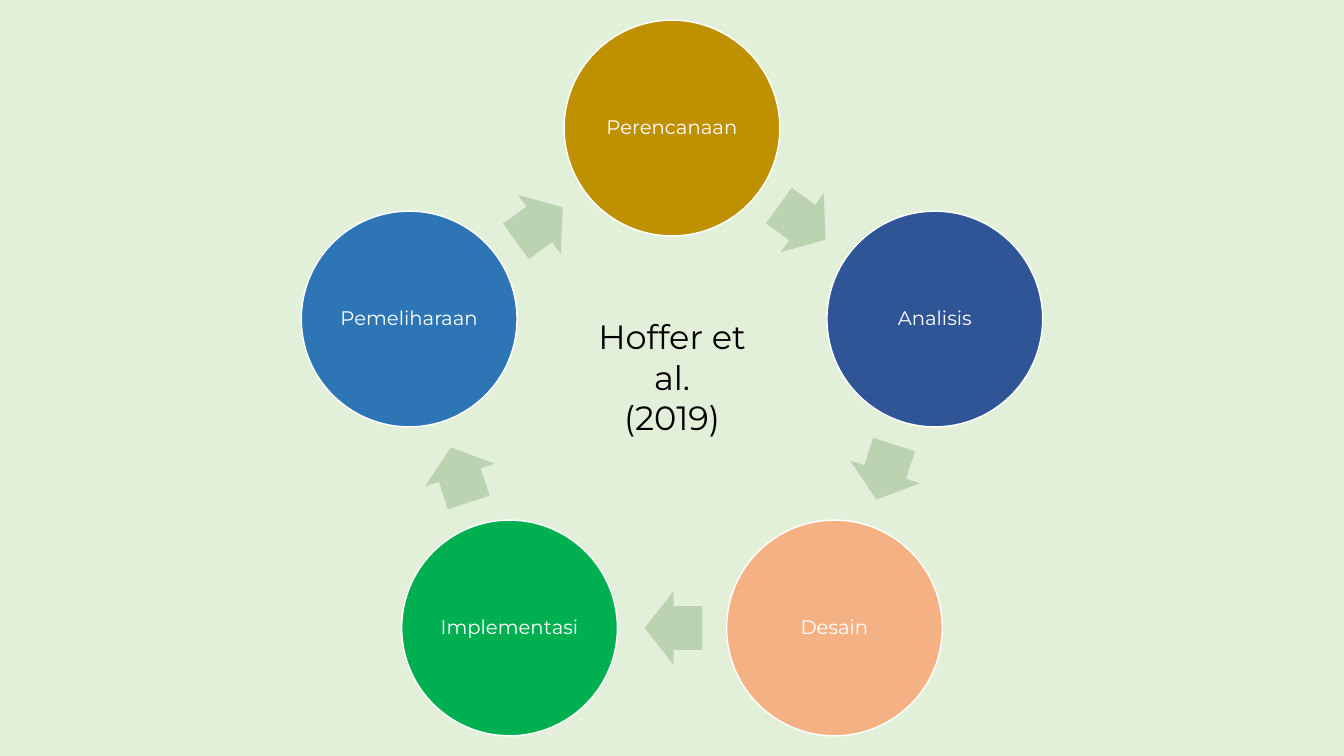
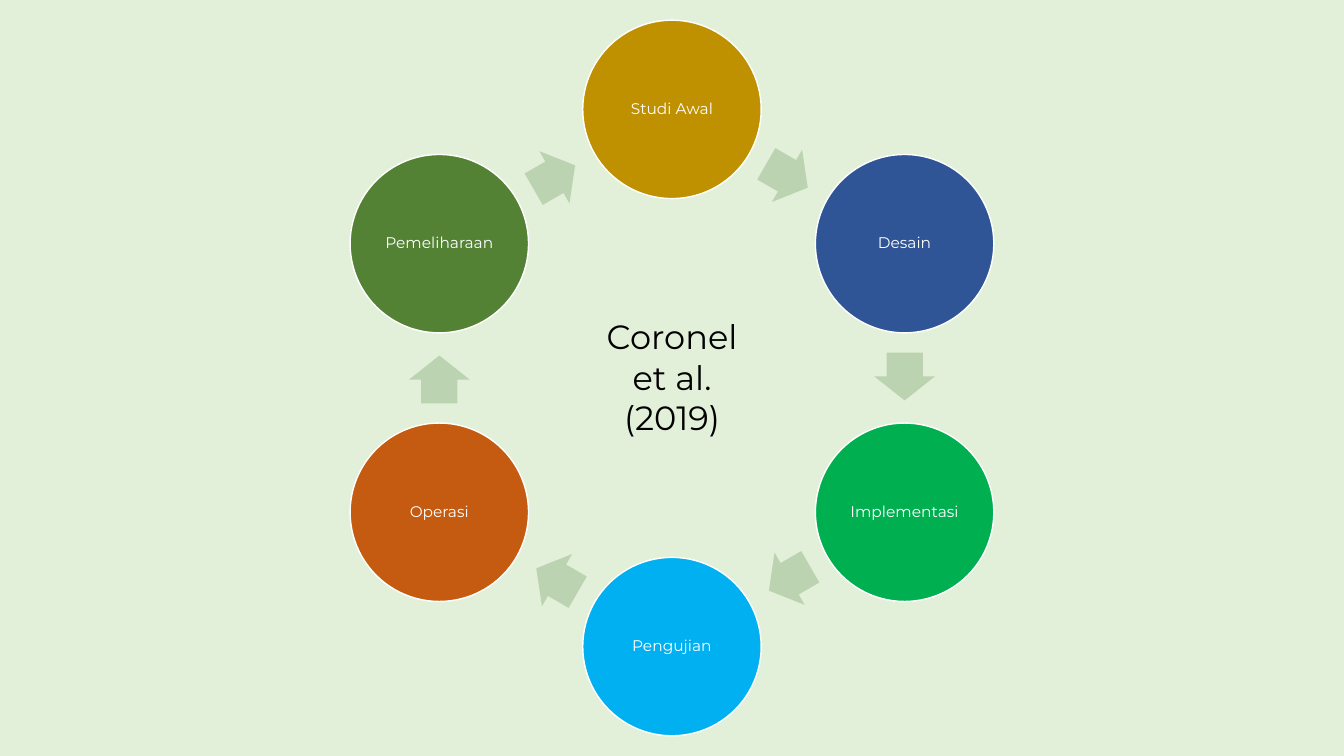
import dataclasses
import math

import pptx
import pptx.dml.color
import pptx.enum.shapes
import pptx.enum.text
import pptx.util

SHAPE = pptx.enum.shapes.MSO_SHAPE
ALIGN = pptx.enum.text.PP_ALIGN
ANCHOR = pptx.enum.text.MSO_ANCHOR
FIT = pptx.enum.text.MSO_AUTO_SIZE


@dataclasses.dataclass(frozen=True)
class Theme:
    font: str = "Montserrat"
    title: int = 24
    back: str = "E2F0D9"
    arrow: str = "BBD3B1"
    ink: str = "000000"
    white: str = "FFFFFF"
    gold: str = "BF9000"
    navy: str = "2F5597"
    peach: str = "F4B183"
    green: str = "00B050"
    blue: str = "2E75B6"
    sky: str = "00B0F0"
    rust: str = "C55A11"
    moss: str = "548235"


def tint(code):
    return pptx.dml.color.RGBColor.from_string(code)


class Deck:
    """Draws on a grid of square cells, 100 rows to the slide's height."""

    ROWS = 100
    EDGE = 2.67  # rows above and below a cycle
    LAG = 0.2    # cells by which an arrow trails the middle of its gap

    def __init__(self, theme):
        self.theme = theme
        self.file = pptx.Presentation()
        self.file.slide_width = pptx.util.Inches(13.333)
        self.file.slide_height = pptx.util.Inches(7.5)
        self.cell = self.file.slide_height / self.ROWS
        self.mid = self.file.slide_width / self.cell / 2
        self.slide = None

    def page(self):
        self.slide = self.file.slides.add_slide(self.file.slide_layouts[6])
        fill = self.slide.background.fill
        fill.solid()
        fill.fore_color.rgb = tint(self.theme.back)

    def place(self, x, y, wide, high):
        """Turn a centre and a size in cells into a left, top, width, height."""
        cells = (x - wide / 2, y - high / 2, wide, high)
        return [round(n * self.cell) for n in cells]

    def shape(self, kind, box, color):
        item = self.slide.shapes.add_shape(kind, *box)
        item.shadow.inherit = False
        item.fill.solid()
        item.fill.fore_color.rgb = tint(color)
        item.line.fill.background()
        return item

    def label(self, para, text, size, color):
        para.alignment = ALIGN.CENTER
        run = para.add_run()
        run.text = text
        run.font.name = self.theme.font
        run.font.size = pptx.util.Pt(size)
        run.font.color.rgb = tint(color)

    def disc(self, x, y, wide, text, color, size):
        item = self.shape(SHAPE.OVAL, self.place(x, y, wide, wide), color)
        item.line.color.rgb = tint(self.theme.white)
        item.line.width = pptx.util.Pt(1)
        frame = item.text_frame
        frame.word_wrap = True
        frame.vertical_anchor = ANCHOR.MIDDLE
        frame.margin_left = frame.margin_right = pptx.util.Inches(0.02)
        frame.margin_top = frame.margin_bottom = pptx.util.Inches(0.02)
        para = frame.paragraphs[0]
        para.line_spacing = 0.9
        self.label(para, text, size, self.theme.white)

    def arrow(self, start, end, wide):
        """Point from one disc to the next, sized by the gap between them."""
        (ax, ay), (bx, by) = start, end
        span = math.dist(start, end)
        gap = span - wide
        x = (ax + bx) / 2 - self.LAG * (bx - ax) / span
        y = (ay + by) / 2 - self.LAG * (by - ay) / span
        box = self.place(x, y, 0.53 * gap, 0.67 * gap)
        item = self.shape(SHAPE.RIGHT_ARROW, box, self.theme.arrow)
        item.adjustments[0] = 0.6
        item.adjustments[1] = 0.5
        item.rotation = math.degrees(math.atan2(by - ay, bx - ax)) % 360

    def cycle(self, steps, wide, size):
        """Set discs clockwise on a ring that fills the slide's height."""
        count = len(steps)
        turn = 2 * math.pi / count
        low = math.cos(turn * (count // 2))
        ring = (self.ROWS - 2 * self.EDGE - wide) / (1 - low)
        core = self.EDGE + wide / 2 + ring
        spots = [(self.mid + ring * math.sin(i * turn),
                  core - ring * math.cos(i * turn)) for i in range(count)]
        for i, (text, color) in enumerate(steps):
            self.disc(*spots[i], wide, text, color, size)
            self.arrow(spots[i], spots[(i + 1) % count], wide)

    def title(self, *lines):
        box = self.place(self.mid, 49.93, 23.73, 17.47)
        frame = self.slide.shapes.add_textbox(*box).text_frame
        frame.word_wrap = True
        frame.auto_size = FIT.SHAPE_TO_FIT_TEXT
        for i, line in enumerate(lines):
            para = frame.add_paragraph() if i else frame.paragraphs[0]
            self.label(para, line, self.theme.title, self.theme.ink)


def main():
    theme = Theme()
    deck = Deck(theme)

    deck.page()
    deck.cycle([
        ("Perencanaan", theme.gold),
        ("Analisis", theme.navy),
        ("Desain", theme.peach),
        ("Implementasi", theme.green),
        ("Pemeliharaan", theme.blue),
    ], wide=28.53, size=14)
    deck.title("Hoffer et al.", "(2019)")

    deck.page()
    deck.cycle([
        ("Studi Awal", theme.gold),
        ("Desain", theme.navy),
        ("Implementasi", theme.green),
        ("Pengujian", theme.sky),
        ("Operasi", theme.rust),
        ("Pemeliharaan", theme.moss),
    ], wide=23.6, size=11)
    deck.title("Coronel et al. (2019)")

    deck.file.save("out.pptx")


if __name__ == "__main__":
    main()
